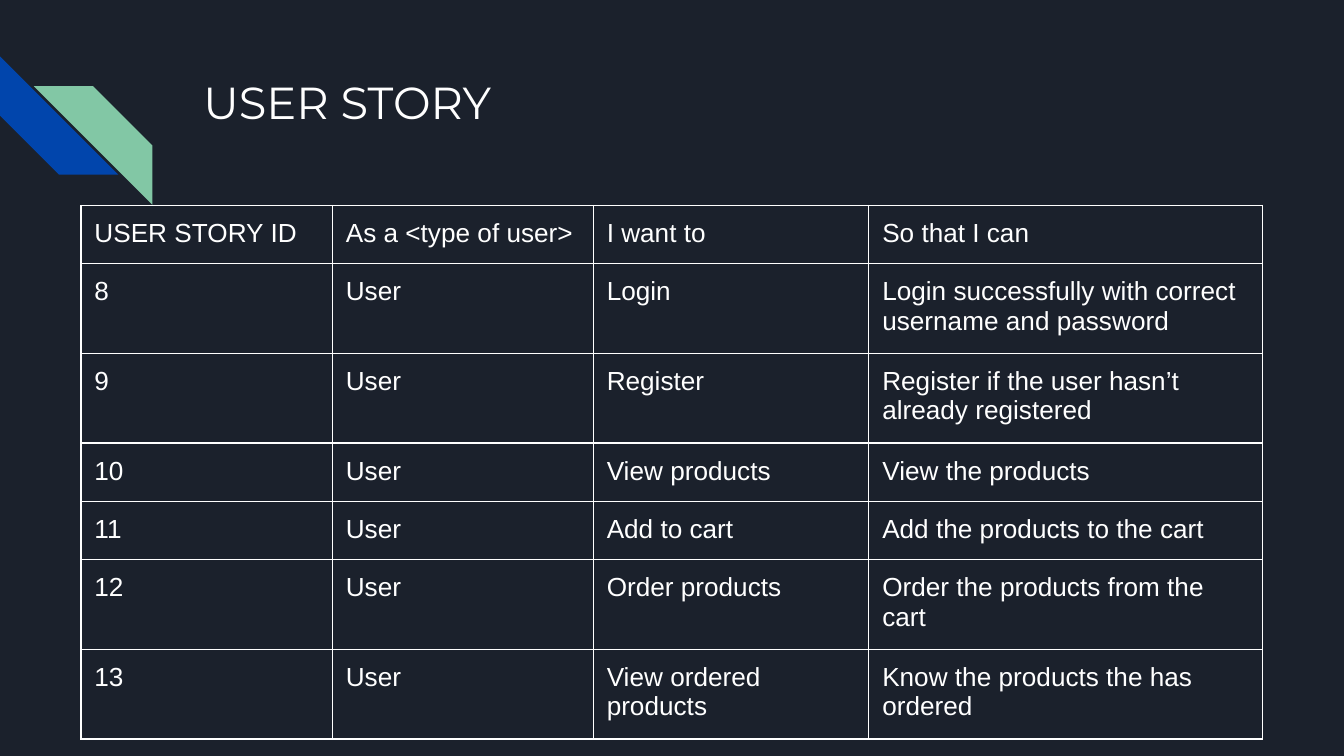
from lxml.etree import SubElement
from pptx import Presentation
from pptx.dml.color import RGBColor
from pptx.enum.shapes import MSO_SHAPE
from pptx.enum.text import MSO_ANCHOR, MSO_AUTO_SIZE, PP_ALIGN
from pptx.oxml.ns import qn
from pptx.util import Pt

TITLE = "USER STORY"
ROWS = [
    ("USER STORY ID", "As a <type of user>", "I want to", "So that I can"),
    ("8", "User", "Login", "Login successfully with correct username and password"),
    ("9", "User", "Register", "Register if the user hasn’t already registered"),
    ("10", "User", "View products", "View the products"),
    ("11", "User", "Add to cart", "Add the products to the cart"),
    ("12", "User", "Order products", "Order the products from the cart"),
    ("13", "User", "View ordered products", "Know the products the has ordered"),
]
COLS = (134.7, 139.8, 147.6, 210.8)
ROW = 30
PAD = 7.2
SIDE = 63.4
COLORS = {"back": "1B212C", "blue": "0145AC", "green": "82C7A5", "white": "FFFFFF"}


def tint(fill, name):
    """Give a fill one solid named colour."""
    fill.solid()
    fill.fore_color.rgb = RGBColor.from_string(COLORS[name])


def write(frame, text, font="Arial", size=14, color="white"):
    """Set one left-aligned paragraph with padding and font."""
    frame.word_wrap = True
    frame.margin_left = frame.margin_right = Pt(PAD)
    frame.margin_top = frame.margin_bottom = Pt(PAD)
    line = frame.paragraphs[0]
    line.alignment = PP_ALIGN.LEFT
    run = line.add_run()
    run.text = text
    run.font.name, run.font.size, run.font.bold = font, Pt(size), False
    run.font.color.rgb = RGBColor.from_string(COLORS[color])


def stripe(slide, left, top, color):
    """Add a square diagonal stripe."""
    shape = slide.shapes.add_shape(
        MSO_SHAPE.DIAGONAL_STRIPE, Pt(left), Pt(top), Pt(SIDE), Pt(SIDE))
    shape.shadow.inherit = False
    tint(shape.fill, color)
    shape.line.fill.background()
    return shape


def border(cell):
    """Draw all four sides of a cell."""
    props = cell._tc.get_or_add_tcPr()
    for side in ("lnL", "lnR", "lnT", "lnB"):
        line = SubElement(props, qn(f"a:{side}"), w=str(Pt(0.75)))
        fill = SubElement(line, qn("a:solidFill"))
        SubElement(fill, qn("a:srgbClr"), val=COLORS["white"])


def grid(slide, left, top):
    """Add the story table."""
    table = slide.shapes.add_table(
        len(ROWS), len(COLS), Pt(left), Pt(top), Pt(sum(COLS)), Pt(ROW * len(ROWS))).table
    table.first_row = table.horz_banding = False
    for col, width in zip(table.columns, COLS):
        col.width = Pt(width)
    for row, texts in zip(table.rows, ROWS):
        row.height = Pt(ROW)
        for cell, text in zip(row.cells, texts):
            border(cell)
            cell.fill.background()
            write(cell.text_frame, text)
            cell.margin_left = cell.margin_right = Pt(PAD)
            cell.margin_top = cell.margin_bottom = Pt(PAD)


def main():
    """Build the slide and save it."""
    deck = Presentation()
    deck.slide_width, deck.slide_height = Pt(720), Pt(405)
    slide = deck.slides.add_slide(deck.slide_layouts[5])
    tint(slide.background.fill, "back")

    stripe(slide, 0, 30.2, "blue").rotation = 270
    green = stripe(slide, 18.2, 46.2, "green")
    green._element.spPr.get_or_add_xfrm().set("flipH", "1")
    grid(slide, 43.4, 110)

    title = slide.shapes.title
    title.left, title.top, title.width, title.height = Pt(101.8), Pt(32.6), Pt(236), Pt(44)
    write(title.text_frame, TITLE, font="Montserrat", size=24)
    title.text_frame.vertical_anchor = MSO_ANCHOR.TOP
    title.text_frame.auto_size = MSO_AUTO_SIZE.SHAPE_TO_FIT_TEXT
    deck.save("out.pptx")


if __name__ == "__main__":
    main()
